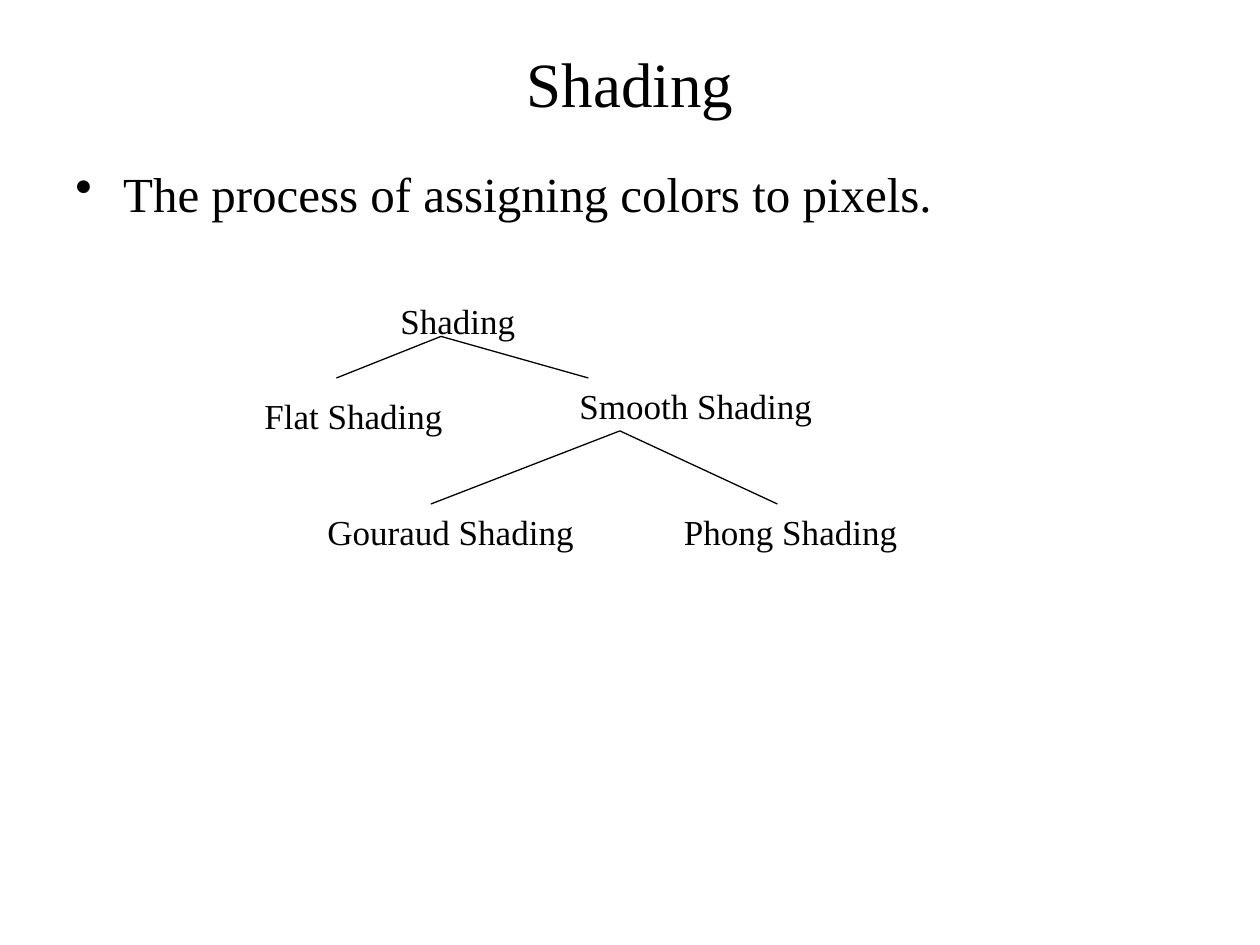
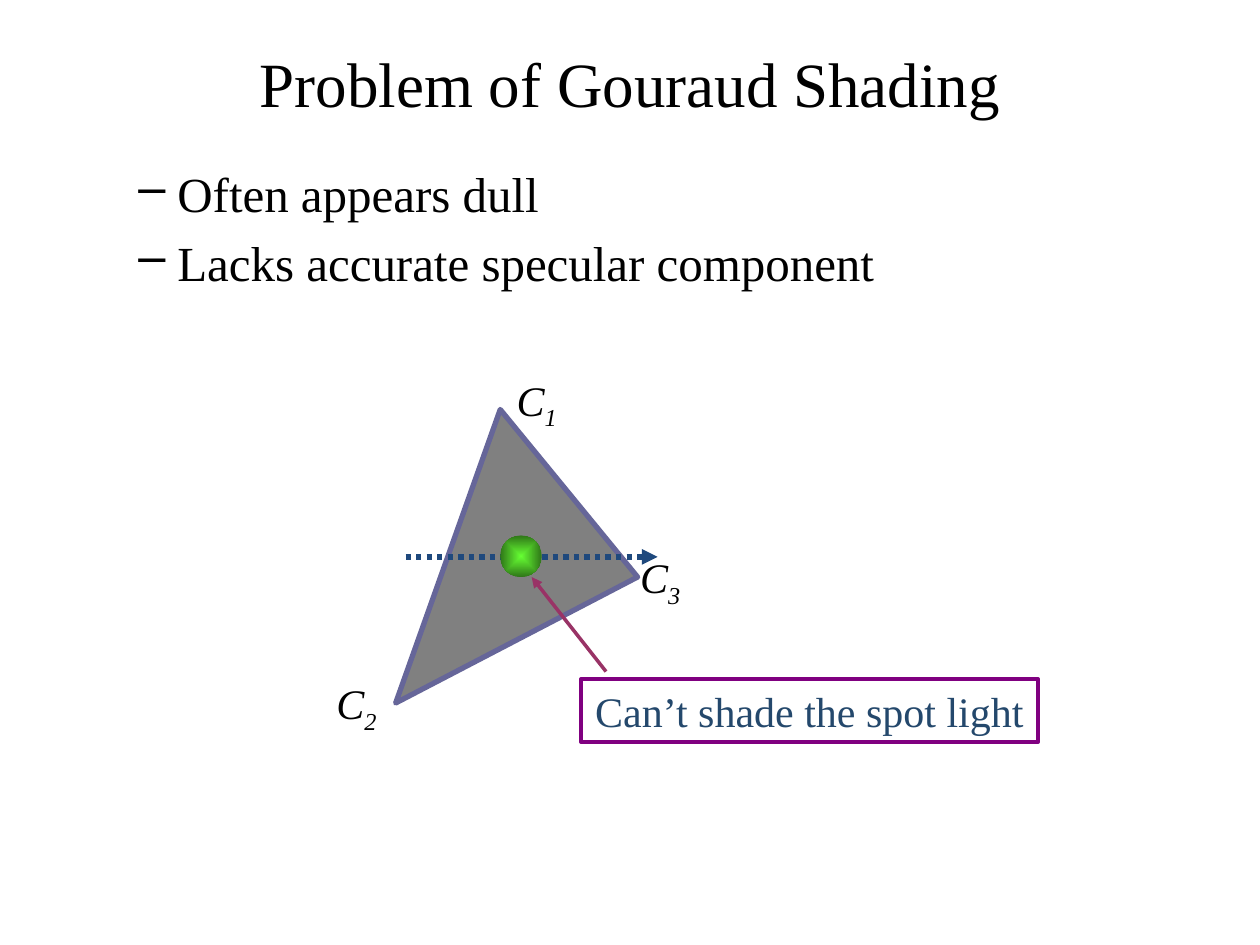
from lxml.etree import SubElement
from pptx import Presentation
from pptx.dml.color import RGBColor
from pptx.enum.dml import MSO_LINE
from pptx.enum.shapes import MSO_CONNECTOR, MSO_SHAPE
from pptx.enum.text import MSO_ANCHOR, PP_ALIGN
from pptx.oxml import parse_xml
from pptx.oxml.ns import nsdecls, qn
from pptx.util import Inches, Pt

FONT = "Times New Roman"
BLACK = RGBColor(0x00, 0x00, 0x00)
GRAY = RGBColor(0x80, 0x80, 0x80)
SLATE = RGBColor(0x66, 0x66, 0x99)
NAVY = RGBColor(0x1F, 0x49, 0x7D)
STEEL = RGBColor(0x24, 0x48, 0x6C)
PLUM = RGBColor(0x99, 0x33, 0x66)
PURPLE = RGBColor(0x80, 0x00, 0x80)
LIME = RGBColor(0x66, 0xFF, 0x33)
DARK_GREEN = RGBColor(0x2F, 0x76, 0x18)

# Slide 1: tree node positions, and branches as (apex, ends)
SHADING_TITLE = "Shading"
SHADING_POINTS = ["The process of assigning colors to pixels."]
TREE_NODES = [
    ("Shading", 3.08, 2.33),
    ("Flat Shading", 2, 3.08),
    ("Smooth Shading", 4.5, 3),
    ("Gouraud Shading", 2.5, 4),
    ("Phong Shading", 5.33, 4),
]
NODE_SIZE = (2.33, 0.44)
BRANCHES = [
    ((3.5, 2.67), [(2.67, 3), (4.67, 3)]),
    ((4.92, 3.42), [(3.42, 4), (6.17, 4)]),
]

# Slide 2
GOURAUD_TITLE = "Problem of Gouraud Shading"
GOURAUD_POINTS = ["Often appears dull", "Lacks accurate specular component"]
TRIANGLE = [(3.14, 5.58), (3.97, 3.25), (5.06, 4.58)]
VERTEX_LABELS = [("1", 3.99, 2.92), ("2", 2.56, 5.33), ("3", 4.97, 4.33)]
LABEL_SIZE = (0.54, 0.5)
SCAN_LINE = ((3.22, 4.42), (5.22, 4.42))
SPOT = (3.97, 4.25, 0.33, 0.33)
CALLOUT_ARROW = ((4.81, 5.33), (4.22, 4.58))
CALLOUT = ("Can’t shade the spot light", 4.61, 5.39, 3.63, 0.5)


def add_run(p, text, size=20, color=BLACK, italic=False, subscript=False):
    r = p.add_run()
    r.text = text
    r.font.name = FONT
    r.font.size = Pt(size)
    r.font.color.rgb = color
    if italic:
        r.font.italic = True
    if subscript:
        r.font._element.set("baseline", "-25000")


def add_box(s, box, wrap=True, anchor=MSO_ANCHOR.TOP):
    tf = s.shapes.add_textbox(*map(Inches, box)).text_frame
    tf.word_wrap = wrap
    tf.vertical_anchor = anchor
    return tf


def add_text(tf, text, align=PP_ALIGN.LEFT, **fmt):
    p = tf.paragraphs[0]
    p.alignment = align
    add_run(p, text, **fmt)
    return p


def add_title(s, text):
    tf = add_box(s, (0.5, 0.3, 9, 0.7), anchor=MSO_ANCHOR.MIDDLE)
    add_text(tf, text, PP_ALIGN.CENTER, size=36)


def add_bullets(s, points, char, height, margin, hanging):
    tf = add_box(s, (0.5, 1.25, 9, height))
    for i, point in enumerate(points):
        p = tf.add_paragraph() if i else tf.paragraphs[0]
        pPr = p._p.get_or_add_pPr()
        pPr.set("marL", str(Inches(margin)))
        pPr.set("indent", str(-Inches(hanging)))
        SubElement(pPr, qn("a:buChar"), char=char)
        if i:
            p.space_before = Pt(5.6)
        add_run(p, point, size=28)


def add_line(s, start, end, color=BLACK, width=0.75, dash=None, arrow=False):
    c = s.shapes.add_connector(MSO_CONNECTOR.STRAIGHT, *map(Inches, start + end))
    c.line.color.rgb = color
    c.line.width = Pt(width)
    if dash:
        c.line.dash_style = dash
    if arrow:
        SubElement(c.line._get_or_add_ln(), qn("a:tailEnd"), type="triangle")
    SubElement(c._element.spPr, qn("a:effectLst"))


def set_radial_fill(sp, inner, outer):
    """Fill from the centre outwards along the shape's outline."""
    grad = parse_xml(
        f'<a:gradFill {nsdecls("a")} rotWithShape="1"><a:gsLst>'
        f'<a:gs pos="0"><a:srgbClr val="{inner}"/></a:gs>'
        f'<a:gs pos="100000"><a:srgbClr val="{outer}"/></a:gs></a:gsLst>'
        '<a:path path="shape"><a:fillToRect l="50000" t="50000" r="50000" b="50000"/>'
        "</a:path></a:gradFill>")
    sp._element.spPr.find(qn("a:prstGeom")).addnext(grad)


def build_shading(s):
    add_title(s, SHADING_TITLE)
    add_bullets(s, SHADING_POINTS, "•", height=0.57, margin=0.38, hanging=0.38)
    for name, x, y in TREE_NODES:
        add_text(add_box(s, (x, y, *NODE_SIZE)), name)
    for apex, ends in BRANCHES:
        for end in ends:
            add_line(s, apex, end)


def build_gouraud(s):
    add_title(s, GOURAUD_TITLE)
    add_bullets(s, GOURAUD_POINTS, "–", height=5.2, margin=0.81, hanging=0.31)

    points = [(Inches(x), Inches(y)) for x, y in TRIANGLE]
    outline = s.shapes.build_freeform(*points[0])
    outline.add_line_segments(points[1:], close=True)
    triangle = outline.convert_to_shape()
    triangle.shadow.inherit = False
    triangle.fill.solid()
    triangle.fill.fore_color.rgb = GRAY
    triangle.line.color.rgb = SLATE
    triangle.line.width = Pt(3)

    for index, x, y in VERTEX_LABELS:
        tf = add_box(s, (x, y, *LABEL_SIZE), wrap=False)
        p = add_text(tf, "C", PP_ALIGN.CENTER, size=24, italic=True)
        add_run(p, index, size=24, italic=True, subscript=True)

    add_line(s, *SCAN_LINE, color=NAVY, width=3, dash=MSO_LINE.ROUND_DOT, arrow=True)

    spot = s.shapes.add_shape(MSO_SHAPE.OVAL, *map(Inches, SPOT))
    spot.shadow.inherit = False
    spot.line.fill.background()
    set_radial_fill(spot, LIME, DARK_GREEN)

    add_line(s, *CALLOUT_ARROW, color=PLUM, width=2, arrow=True)

    text, *box = CALLOUT
    callout = s.shapes.add_shape(MSO_SHAPE.RECTANGLE, *map(Inches, box))
    callout.shadow.inherit = False
    callout.fill.background()
    callout.line.color.rgb = PURPLE
    callout.line.width = Pt(2)
    tf = callout.text_frame
    tf.word_wrap = False
    tf.vertical_anchor = MSO_ANCHOR.TOP
    add_text(tf, text, PP_ALIGN.CENTER, size=24, color=STEEL)


def main():
    prs = Presentation()
    prs.slide_width, prs.slide_height = Inches(10), Inches(7.5)
    for build in (build_shading, build_gouraud):
        build(prs.slides.add_slide(prs.slide_layouts[6]))
    prs.save("out.pptx")


if __name__ == "__main__":
    main()
